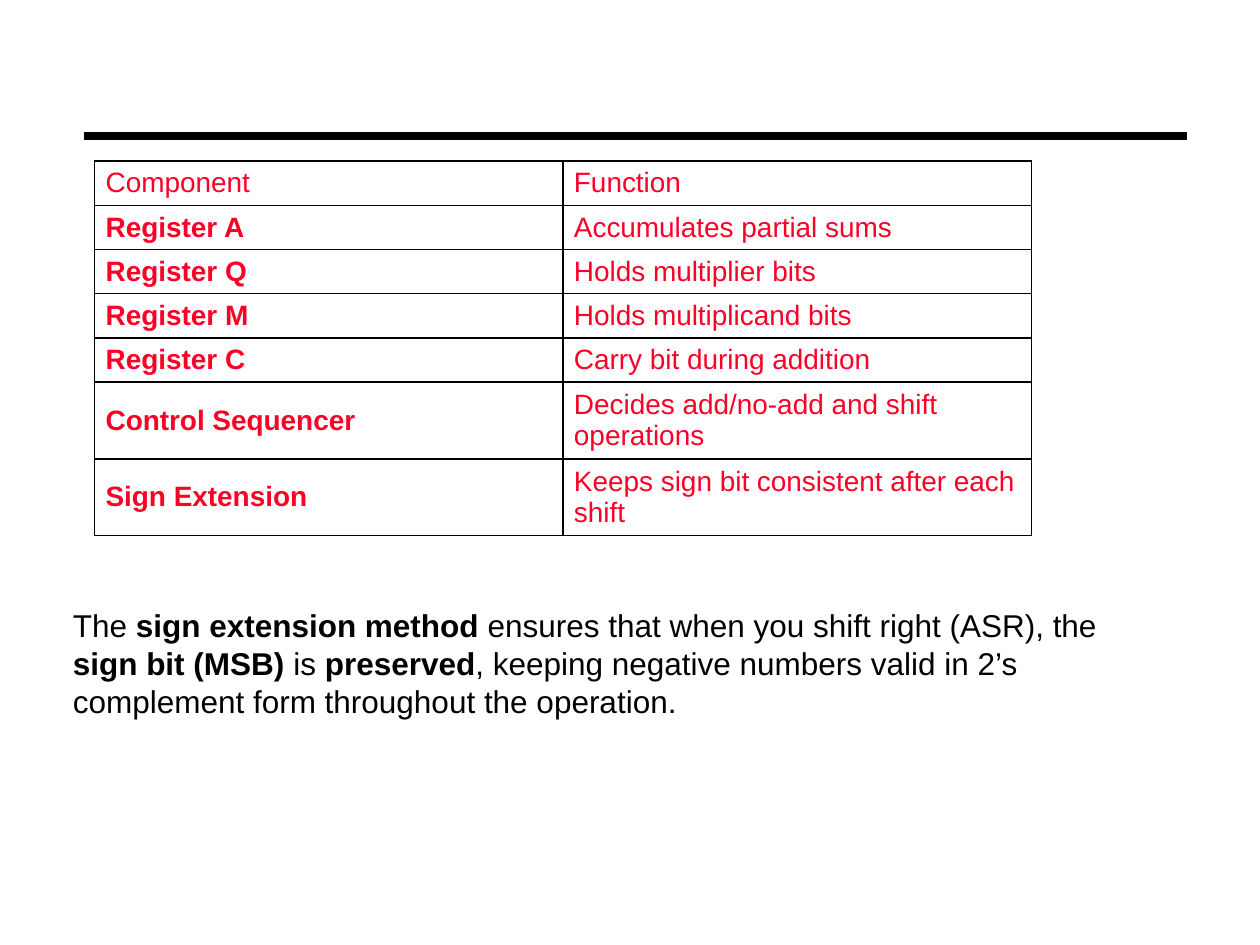
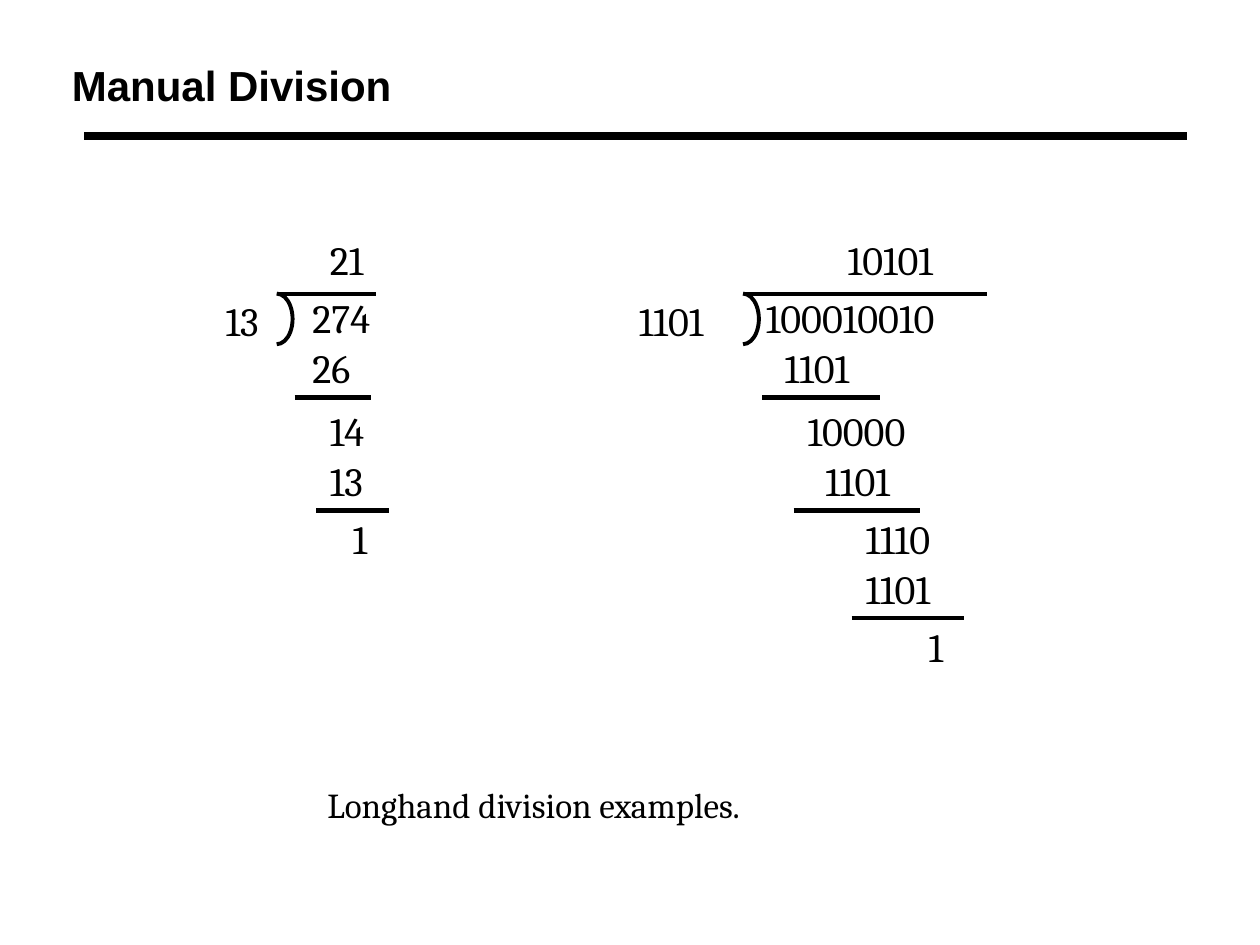
from lxml.etree import SubElement
from pptx import Presentation
from pptx.dml.color import RGBColor
from pptx.enum.shapes import MSO_CONNECTOR, MSO_SHAPE
from pptx.enum.text import MSO_ANCHOR, PP_ALIGN
from pptx.oxml import parse_xml
from pptx.oxml.ns import nsdecls, qn
from pptx.util import Cm, Pt

COLOURS = {"ink": "000000", "table": "FC0128"}
SANS, SERIF = "Arial", "Cambria"

COMPONENTS = [
    ("Component", "Function"),
    ("Register A", "Accumulates partial sums"),
    ("Register Q", "Holds multiplier bits"),
    ("Register M", "Holds multiplicand bits"),
    ("Register C", "Carry bit during addition"),
    ("Control Sequencer", "Decides add/no-add and shift operations"),
    ("Sign Extension", "Keeps sign bit consistent after each shift"),
]

SIGN_EXTENSION_NOTE = [
    ("The ", False),
    ("sign extension method", True),
    (" ensures that when you shift right (ASR), the ", False),
    ("sign bit (MSB)", True),
    (" is ", False),
    ("preserved", True),
    (", keeping negative numbers valid in 2’s complement form "
     "throughout the operation.", False),
]

# Heights shared by both worked divisions, in cm
NUMBER_TOPS = [4.75, 5.92, 6.93, 8.2, 9.19, 10.36, 11.38, 12.55]
RULE_TOPS = [5.93, 8.01, 10.29, 12.46]

# Numbers are (left, digits) and rules are (left, right), from the top down
DECIMAL = {
    "divisor": (4.55, "13"),
    "numbers": [(6.65, "21"), (6.3, "274"), (6.3, "26"), (6.65, "14"),
                (6.65, "13"), (7.11, "1")],
    "rules": [(5.61, 7.57), (5.94, 7.47), (6.38, 7.85)],
}
BINARY = {
    "divisor": (12.88, "1101"),
    "numbers": [(17.09, "10101"), (15.44, "100010010"), (15.82, "1101"),
                (16.28, "10000"), (16.64, "1101"), (17.45, "1110"),
                (17.45, "1101"), (18.72, "1")],
    "rules": [(15.01, 19.89), (15.37, 17.73), (16, 18.54), (17.17, 19.43)],
}


def colour(name):
    return RGBColor.from_string(COLOURS[name])


def add_span(para, text, size, font=SANS, bold=False, ink="ink"):
    span = para.add_run()
    span.text = text
    span.font.name = font
    span.font.size = Pt(size)
    span.font.bold = bold
    span.font.color.rgb = colour(ink)


def add_text(page, left, top, width, height, spans, size, font=SANS,
             insets=(0, 0), align=PP_ALIGN.LEFT):
    box = page.shapes.add_textbox(Cm(left), Cm(top), Cm(width), Cm(height))
    frame = box.text_frame
    frame.word_wrap = True
    frame.margin_left = frame.margin_right = Cm(insets[0])
    frame.margin_top = frame.margin_bottom = Cm(insets[1])
    para = frame.paragraphs[0]
    para.alignment = align
    for text, bold in spans:
        add_span(para, text, size, font, bold)
    return para


def add_rule(page, left, right, top, weight):
    rule = page.shapes.add_connector(
        MSO_CONNECTOR.STRAIGHT, Cm(left), Cm(top), Cm(right), Cm(top))
    rule.line.color.rgb = colour("ink")
    rule.line.width = Pt(weight)
    SubElement(rule._element.spPr, qn("a:effectLst"))


def add_page(deck, title=None):
    """Add a page with the shared heading rule and an optional title."""
    page = deck.slides.add_slide(deck.slide_layouts[6])
    add_rule(page, 1.7, 23.93, 2.74, 4.5)
    if title:
        para = add_text(page, 1.27, 1.27, 22.86, 1.1, [(title, True)], 24,
                        insets=(0.18, 0.08))
        para.line_spacing = 0.87
    return page


def set_borders(cell):
    properties = cell._tc.get_or_add_tcPr()
    for position, side in enumerate(("lnL", "lnR", "lnT", "lnB")):
        properties.insert(position, parse_xml(
            f'<a:{side} {nsdecls("a")} w="12700"><a:solidFill>'
            f'<a:srgbClr val="{COLOURS["ink"]}"/></a:solidFill></a:{side}>'))


def add_component_table(page):
    column_width, single, double = 9.44, 0.89, 1.55
    heights = [single] * 5 + [double] * 2
    table = page.shapes.add_table(
        len(COMPONENTS), 2, Cm(1.91), Cm(3.25),
        Cm(2 * column_width), Cm(sum(heights))).table
    table.first_row = table.horz_banding = False
    for column in table.columns:
        column.width = Cm(column_width)
    for index, (row, height) in enumerate(zip(table.rows, heights)):
        row.height = Cm(height)
        for position, text in enumerate(COMPONENTS[index]):
            cell = row.cells[position]
            cell.fill.background()
            set_borders(cell)
            cell.vertical_anchor = MSO_ANCHOR.MIDDLE
            cell.margin_left = cell.margin_right = Cm(0.22)
            cell.margin_top = cell.margin_bottom = Cm(0.11)
            add_span(cell.text_frame.paragraphs[0], text, 16,
                     bold=index > 0 and position == 0, ink="table")


def add_number(page, left, top, digits):
    add_text(page, left, top, 0.45 * len(digits), 0.97, [(digits, False)],
             23, SERIF)


def add_bracket(page, left):
    bracket = page.shapes.add_shape(
        MSO_SHAPE.ARC, Cm(left), Cm(5.92), Cm(0.64), Cm(1.02))
    # Right half of the ellipse: from 270 to 90 degrees
    bracket.adjustments[0] = 162
    bracket.adjustments[1] = 54
    bracket.shadow.inherit = False
    bracket.fill.background()
    bracket.line.color.rgb = colour("ink")
    bracket.line.width = Pt(2.25)


def add_division(page, division):
    left, digits = division["divisor"]
    add_number(page, left, 5.98, digits)
    add_bracket(page, division["rules"][0][0] - 0.35)
    for top, (left, digits) in zip(NUMBER_TOPS, division["numbers"]):
        add_number(page, left, top, digits)
    for top, (left, right) in zip(RULE_TOPS, division["rules"]):
        add_rule(page, left, right, top, 2.63)


def main():
    deck = Presentation()
    deck.slide_width, deck.slide_height = Cm(25.4), Cm(19.05)

    # Components and sign extension
    page = add_page(deck)
    add_component_table(page)
    add_text(page, 1.22, 12.09, 21.72, 2.57, SIGN_EXTENSION_NOTE, 18,
             insets=(0.25, 0.13))

    # Division in decimal and in binary
    page = add_page(deck, "Manual Division")
    for division in (DECIMAL, BINARY):
        add_division(page, division)
    add_text(page, 6.06, 15.8, 9.4, 0.86,
             [("Longhand division examples.", False)], 20, SERIF,
             align=PP_ALIGN.CENTER)

    deck.save("out.pptx")


if __name__ == "__main__":
    main()
